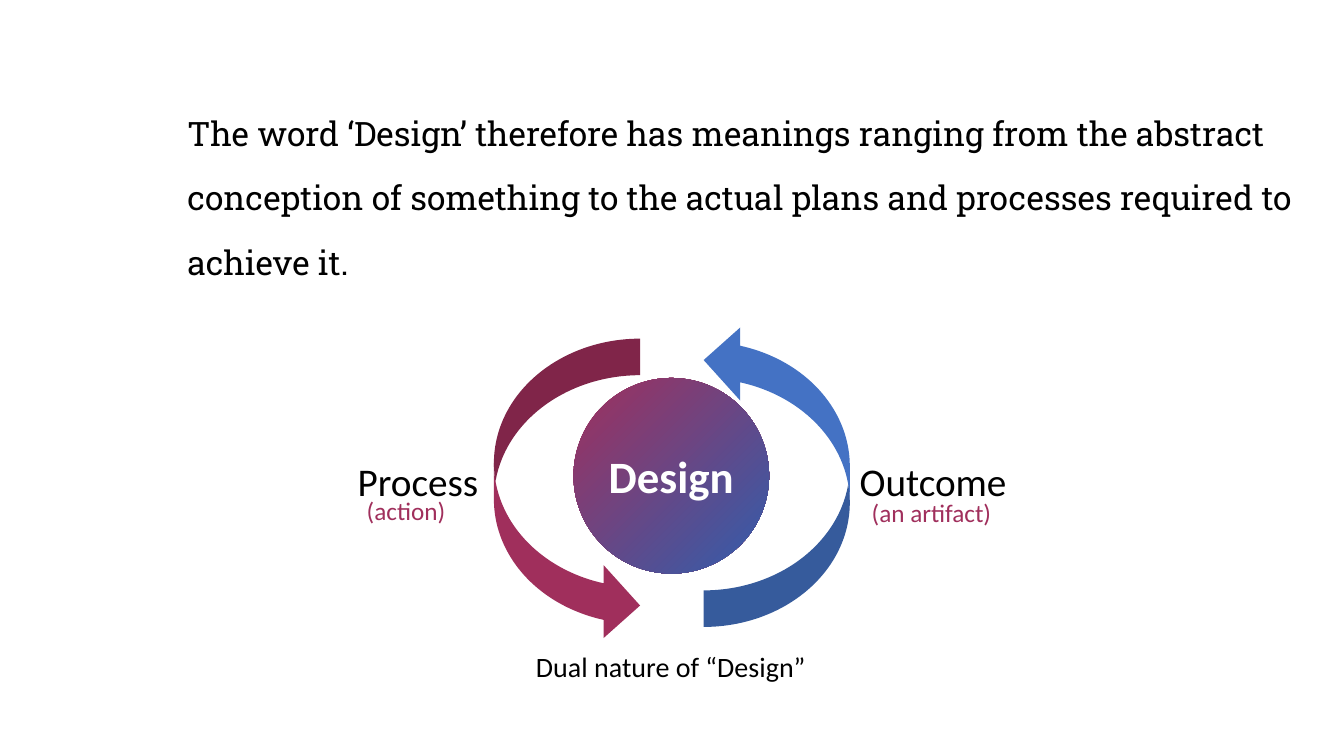
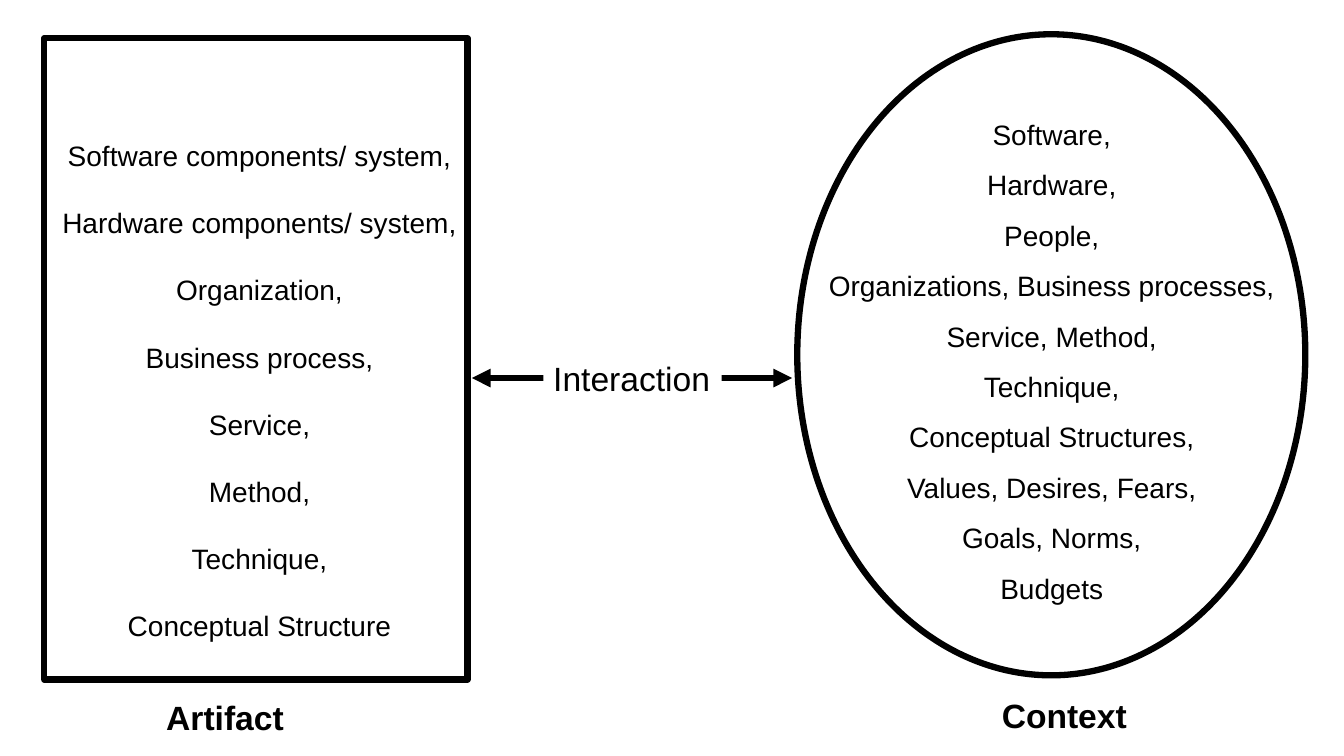
from dataclasses import dataclass

from lxml import etree
from pptx import Presentation
from pptx.dml.color import RGBColor
from pptx.enum.shapes import MSO_CONNECTOR, MSO_SHAPE
from pptx.enum.text import MSO_AUTO_SIZE, PP_ALIGN
from pptx.oxml.ns import qn
from pptx.shapes.autoshape import Shape
from pptx.shapes.shapetree import GroupShapes, SlideShapes
from pptx.util import Pt

ELLIPSE = MSO_SHAPE.OVAL
RECTANGLE = MSO_SHAPE.RECTANGLE
CURVED_ARROW = MSO_SHAPE.CURVED_RIGHT_ARROW
STRAIGHT = MSO_CONNECTOR.STRAIGHT
FIT_TEXT = MSO_AUTO_SIZE.SHAPE_TO_FIT_TEXT
LEFT, CENTER = PP_ALIGN.LEFT, PP_ALIGN.CENTER

BLACK, WHITE = "000000", "FFFFFF"
CRIMSON, BLUE, DEEP_BLUE = "A02F5C", "4472C4", "315EAD"
SERIF, SANS, DIAGRAM_FONT = "Roboto Slab", "Calibri", "Arial"
OUTLINE_WIDTH = 4.5
BLANK_LAYOUT = 6

Shapes = SlideShapes | GroupShapes


@dataclass(frozen=True)
class Box:
    left: float
    top: float
    width: float
    height: float

    def lengths(self) -> tuple[Pt, Pt, Pt, Pt]:
        return Pt(self.left), Pt(self.top), Pt(self.width), Pt(self.height)


@dataclass(frozen=True)
class Label:
    text: str
    box: Box
    size: float
    color: str = BLACK
    bold: bool = False
    wrap: bool = False


@dataclass(frozen=True)
class CycleArrow:
    box: Box
    color: str
    rotation: float


@dataclass(frozen=True)
class Domain:
    outline: MSO_SHAPE
    outline_box: Box
    items: tuple[str, ...]
    items_box: Box
    spacing: float


def rgb(color: str) -> RGBColor:
    return RGBColor.from_string(color)


def add_text(shapes: Shapes, text: str, box: Box, *, size: float, font: str,
             color: str = BLACK, bold: bool = False, wrap: bool = True,
             align: PP_ALIGN = LEFT, spacing: float = 1.0,
             fill: str | None = None) -> None:
    """Add a text box with one paragraph for each line of the text."""
    text_box = shapes.add_textbox(*box.lengths())
    if fill:
        text_box.fill.solid()
        text_box.fill.fore_color.rgb = rgb(fill)
    frame = text_box.text_frame
    frame.text = text
    frame.word_wrap = wrap
    frame.auto_size = FIT_TEXT
    for paragraph in frame.paragraphs:
        paragraph.alignment = align
        paragraph.line_spacing = spacing
        for run in paragraph.runs:
            run.font.name = font
            run.font.size = Pt(size)
            run.font.bold = bold
            run.font.color.rgb = rgb(color)


def add_figure(shapes: Shapes, kind: MSO_SHAPE, box: Box,
               fill: str | None = None, line: str | None = None) -> Shape:
    figure = shapes.add_shape(kind, *box.lengths())
    figure.shadow.inherit = False
    if fill:
        figure.fill.solid()
        figure.fill.fore_color.rgb = rgb(fill)
    else:
        figure.fill.background()
    if line:
        figure.line.color.rgb = rgb(line)
        figure.line.width = Pt(OUTLINE_WIDTH)
    else:
        figure.line.fill.background()
    return figure


def add_double_arrow(shapes: Shapes, left: float, right: float, y: float) -> None:
    arrow = shapes.add_connector(STRAIGHT, Pt(left), Pt(y), Pt(right), Pt(y))
    arrow.line.color.rgb = rgb(BLACK)
    arrow.line.width = Pt(OUTLINE_WIDTH)
    properties = arrow.element.spPr
    for end in ("a:headEnd", "a:tailEnd"):
        etree.SubElement(properties.find(qn("a:ln")), qn(end), type="triangle")
    etree.SubElement(properties, qn("a:effectLst"))


STATEMENT = ("The word ‘Design’ therefore has meanings ranging from the abstract "
             "conception of something to the actual plans and processes required "
             "to achieve it.")

CYCLE_ARROWS = (
    CycleArrow(Box(352.8, 241.9, 104.4, 216.7), CRIMSON, 0),
    CycleArrow(Box(502.6, 231.1, 104.4, 216.7), BLUE, 180),
)

CYCLE_LABELS = (
    Label("Process", Box(248.4, 323.3, 101.5, 41), 28),
    Label("Outcome", Box(607, 323.3, 120.2, 41), 28),
    Label("(action)", Box(254.9, 350.6, 113, 28.8), 18, CRIMSON, wrap=True),
    Label("(an artifact)", Box(615.6, 351.4, 113, 28.8), 18, CRIMSON, wrap=True),
    Label("Dual nature of “Design”", Box(375.8, 460.1, 208.8, 31.7), 20),
)

ARTIFACT = Domain(
    RECTANGLE, Box(31.7, 27.4, 302.4, 457.9),
    ("Software components/ system,", "Hardware components/ system,",
     "Organization,", "Business process,", "Service,", "Method,", "Technique,",
     "Conceptual Structure"),
    Box(20.9, 71.3, 329, 388.8), 2.0)

CONTEXT = Domain(
    ELLIPSE, Box(569.5, 24.5, 362.9, 457.9),
    ("Software,", "Hardware,", "People,", "Organizations, Business processes,",
     "Service, Method,", "Technique,", "Conceptual Structures,",
     "Values, Desires, Fears,", "Goals, Norms,", "Budgets"),
    Box(550.8, 68.4, 401, 367.2), 1.5)

DOMAIN_LABELS = (
    Label("Interaction", Box(388.1, 252, 127.4, 36), 24),
    Label("Artifact", Box(111.6, 494.6, 99.4, 36), 24, bold=True),
    Label("Context", Box(708.5, 492.5, 105.1, 36), 24, bold=True),
)


def add_label(shapes: Shapes, label: Label, font: str, fill: str | None = None) -> None:
    add_text(shapes, label.text, label.box, size=label.size, font=font,
             color=label.color, bold=label.bold, wrap=label.wrap, fill=fill)


def add_domain(shapes: Shapes, domain: Domain) -> None:
    add_figure(shapes, domain.outline, domain.outline_box, line=BLACK)
    add_text(shapes, "\n".join(domain.items), domain.items_box, size=20,
             font=DIAGRAM_FONT, align=CENTER, spacing=domain.spacing)


def build_dual_nature(shapes: SlideShapes) -> None:
    add_text(shapes, STATEMENT, Box(126.7, 59.8, 811.4, 141.1), size=24,
             font=SERIF, spacing=1.6)

    # Design core
    core = shapes.add_group_shape().shapes
    circle = add_figure(core, ELLIPSE, Box(409.7, 270, 139.7, 139.7))
    circle.fill.gradient()
    circle.fill.gradient_angle = 315
    for position, (stop, color) in enumerate(
            zip(circle.fill.gradient_stops, (CRIMSON, DEEP_BLUE))):
        stop.color.rgb = rgb(color)
        stop.position = position
    add_label(core, Label("Design", Box(427.7, 316.8, 104.4, 46.1), 32, WHITE, True), SANS)

    # Cycle around the core
    for arrow in CYCLE_ARROWS:
        add_figure(shapes, CURVED_ARROW, arrow.box, arrow.color).rotation = arrow.rotation
    for label in CYCLE_LABELS:
        add_label(shapes, label, SANS)


def build_artifact_and_context(shapes: SlideShapes) -> None:
    # The two domains
    add_domain(shapes, ARTIFACT)
    add_domain(shapes.add_group_shape().shapes, CONTEXT)

    # Interaction between them, with the labels over the arrow
    add_double_arrow(shapes, left=337, right=565.9, y=270)
    for label in DOMAIN_LABELS:
        add_label(shapes, label, DIAGRAM_FONT, fill=WHITE)


def main() -> None:
    deck = Presentation()
    deck.slide_width, deck.slide_height = Pt(960), Pt(540)
    for build in (build_dual_nature, build_artifact_and_context):
        build(deck.slides.add_slide(deck.slide_layouts[BLANK_LAYOUT]).shapes)
    deck.save("out.pptx")


if __name__ == "__main__":
    main()
